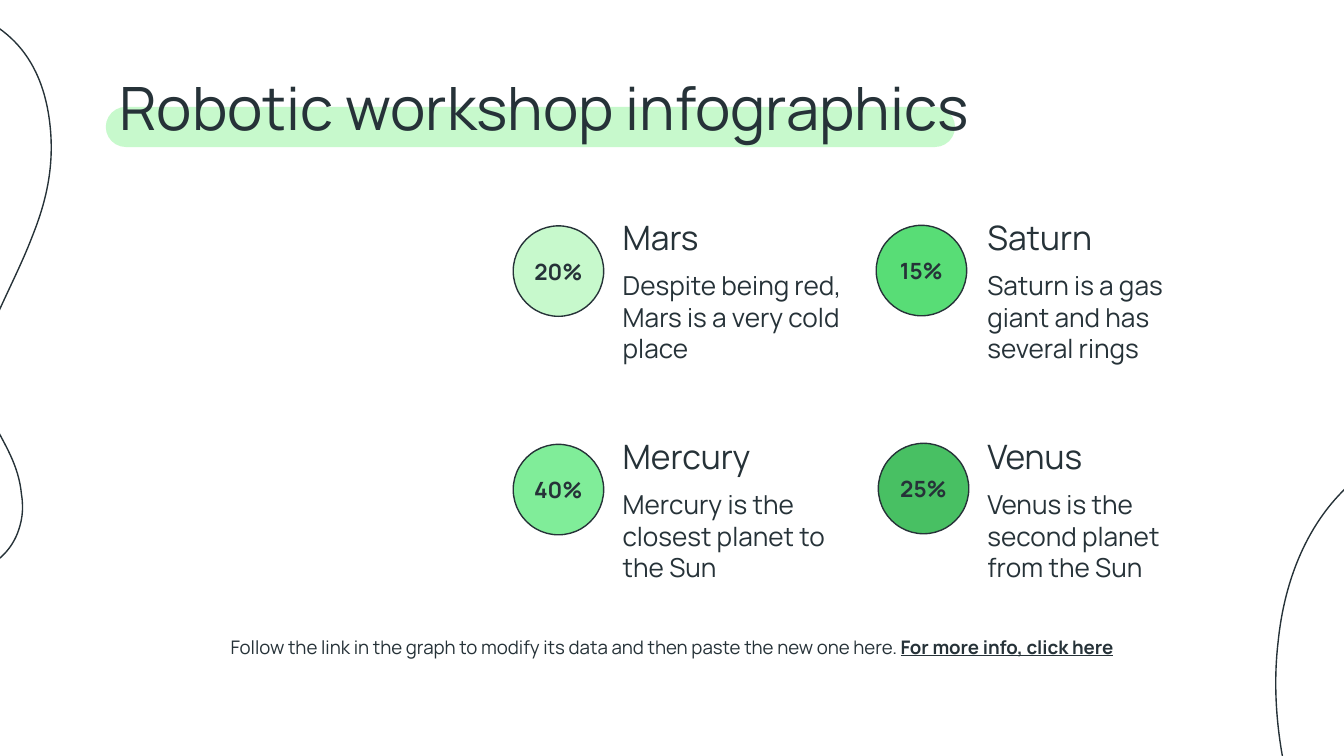
from lxml.etree import SubElement
from pptx import Presentation
from pptx.dml.color import RGBColor
from pptx.enum.shapes import MSO_SHAPE
from pptx.enum.text import MSO_ANCHOR, MSO_AUTO_SIZE, PP_ALIGN
from pptx.oxml.ns import qn
from pptx.util import Cm, Pt

FONT = "Manrope"
COLORS = {
    "ink": "263238",
    "pale": "C7F9CC",
    "light": "80ED99",
    "mid": "58DD76",
    "deep": "48C063",
}

PLANETS = [
    ("Mars", "20%", "Despite being red, Mars is a very cold place", "pale", 0, 0, (9.7, 4.27)),
    ("Mercury", "40%", "Mercury is the closest planet to the Sun", "light", 0, 1, (9.7, 8.4)),
    ("Saturn", "15%", "Saturn is a gas giant and has several rings", "mid", 1, 0, (16.56, 4.26)),
    ("Venus", "25%", "Venus is the second planet from the Sun", "deep", 1, 1, (16.6, 8.38)),
]
COL_GAP, ROW_GAP = 6.89, 4.14

RIGHT_BLOB = [
    (12.54, 6.9), (12.54, 6.81), (12.53, 6.71), (12.49, 6.6),
    (12.33, 6.2), (11.9, 6.12), (11.94, 5.59),
    (11.94, 5.54), (11.94, 5.49), (11.95, 5.44),
    (11.98, 5.19), (12.03, 4.96), (12.05, 4.73),
    (12.08, 4.46), (12.08, 4.19), (11.95, 3.88),
    (11.73, 3.36), (11.34, 3.21), (10.87, 3.26),
    (10.04, 3.33), (9.59, 3.98), (9.51, 4.78),
    (9.47, 5.12), (9.5, 5.49), (9.59, 5.85),
    (9.89, 6.98), (10.8, 7.6), (11.79, 7.46),
    (12.09, 7.41), (12.5, 7.25), (12.54, 6.9),
]
LEFT_BLOB = [
    (0.13, 3.97), (0.16, 3.89), (0.18, 3.8), (0.16, 3.68),
    (0.12, 3.24), (-0.27, 3.06), (-0.1, 2.56),
    (-0.08, 2.51), (-0.07, 2.46), (-0.05, 2.41),
    (0.05, 2.18), (0.16, 1.97), (0.24, 1.76),
    (0.34, 1.51), (0.41, 1.24), (0.37, 0.91),
    (0.3, 0.34), (-0.04, 0.1), (-0.51, 0.02),
    (-1.32, -0.13), (-1.93, 0.38), (-2.23, 1.13),
    (-2.36, 1.45), (-2.43, 1.81), (-2.43, 2.18),
    (-2.45, 3.35), (-1.73, 4.18), (-0.74, 4.31),
    (-0.44, 4.35), (0, 4.3), (0.13, 3.97),
]


def color(name):
    return RGBColor.from_string(COLORS[name])


def paint(shape, fill=None, line=None):
    shape.shadow.inherit = False
    if fill:
        shape.fill.solid()
        shape.fill.fore_color.rgb = color(fill)
    else:
        shape.fill.background()
    if line:
        shape.line.color.rgb = color(line)
        shape.line.width = Pt(0.75)
    else:
        shape.line.fill.background()


def write(shape, parts, size, align=PP_ALIGN.LEFT, anchor=MSO_ANCHOR.TOP, side=0.25):
    frame = shape.text_frame
    frame.word_wrap = True
    frame.auto_size = MSO_AUTO_SIZE.NONE
    frame.vertical_anchor = anchor
    frame.margin_left = frame.margin_right = Cm(side)
    frame.margin_top = frame.margin_bottom = Cm(0.25)
    para = frame.paragraphs[0]
    para.alignment = align
    para.line_spacing = 1.0
    para.space_before = Pt(0)
    for text, bold, under in parts:
        run = para.add_run()
        run.text = text
        font = run.font
        font.name = FONT
        font.size = Pt(size)
        font.bold = bold
        font.underline = under
        font.color.rgb = color("ink")


def add_text(slide, box, parts, size, **style):
    shape = slide.shapes.add_textbox(*map(Cm, box))
    write(shape, parts, size, **style)


def add_blob(slide, nodes):
    points = [(round(x * 100), round(y * 100)) for x, y in nodes]
    pen = slide.shapes.build_freeform(*points[0], scale=Cm(0.0254))
    pen.add_line_segments(points[1:], close=True)
    shape = pen.convert_to_shape()
    track = next(shape.element.iter(qn("a:path")))
    lines = track.findall(qn("a:lnTo"))
    end = track.find(qn("a:close"))
    for i in range(0, len(lines), 3):
        curve = SubElement(track, qn("a:cubicBezTo"))
        for line in lines[i:i + 3]:
            curve.append(line[0])
            track.remove(line)
    track.append(end)
    paint(shape, line="ink")


def add_title(slide):
    bar = slide.shapes.add_shape(MSO_SHAPE.ROUNDED_RECTANGLE, Cm(2), Cm(2.02), Cm(16.05), Cm(0.76))
    bar.adjustments[0] = 0.5
    paint(bar, fill="pale")
    title = slide.shapes.title
    title.left, title.top, title.width, title.height = map(Cm, (2, 1.08, 21.4, 1.7))
    write(title, [("Robotic workshop infographics", False, False)], 32)
    bar.element.addnext(title.element)


def add_planet(slide, name, share, note, fill, col, row, spot):
    x, y = 11.52 + col * COL_GAP, row * ROW_GAP
    add_text(slide, (x, 4.07 + y, 4.72, 1.04), [(name, False, False)], 18, anchor=MSO_ANCHOR.BOTTOM)
    add_text(slide, (x, 4.85 + y, 4.72, 2.16), [(note, False, False)], 14)
    disc = slide.shapes.add_shape(MSO_SHAPE.OVAL, *map(Cm, spot), Cm(1.71), Cm(1.71))
    paint(disc, fill, "ink")
    write(disc, [(share, True, False)], 12, align=PP_ALIGN.CENTER, anchor=MSO_ANCHOR.MIDDLE, side=0)


def main():
    deck = Presentation()
    deck.slide_width, deck.slide_height = Cm(25.4), Cm(14.29)
    slide = deck.slides.add_slide(deck.slide_layouts[5])
    add_title(slide)
    add_blob(slide, RIGHT_BLOB)
    add_blob(slide, LEFT_BLOB)
    add_text(slide, (2, 11.76, 21.4, 1.04), [
        ("Follow the link in the graph to modify its data and then paste the new one here. ", False, False),
        ("For more info, click here", True, True),
    ], 10, align=PP_ALIGN.CENTER)
    for planet in PLANETS:
        add_planet(slide, *planet)
    deck.save("out.pptx")


if __name__ == "__main__":
    main()
